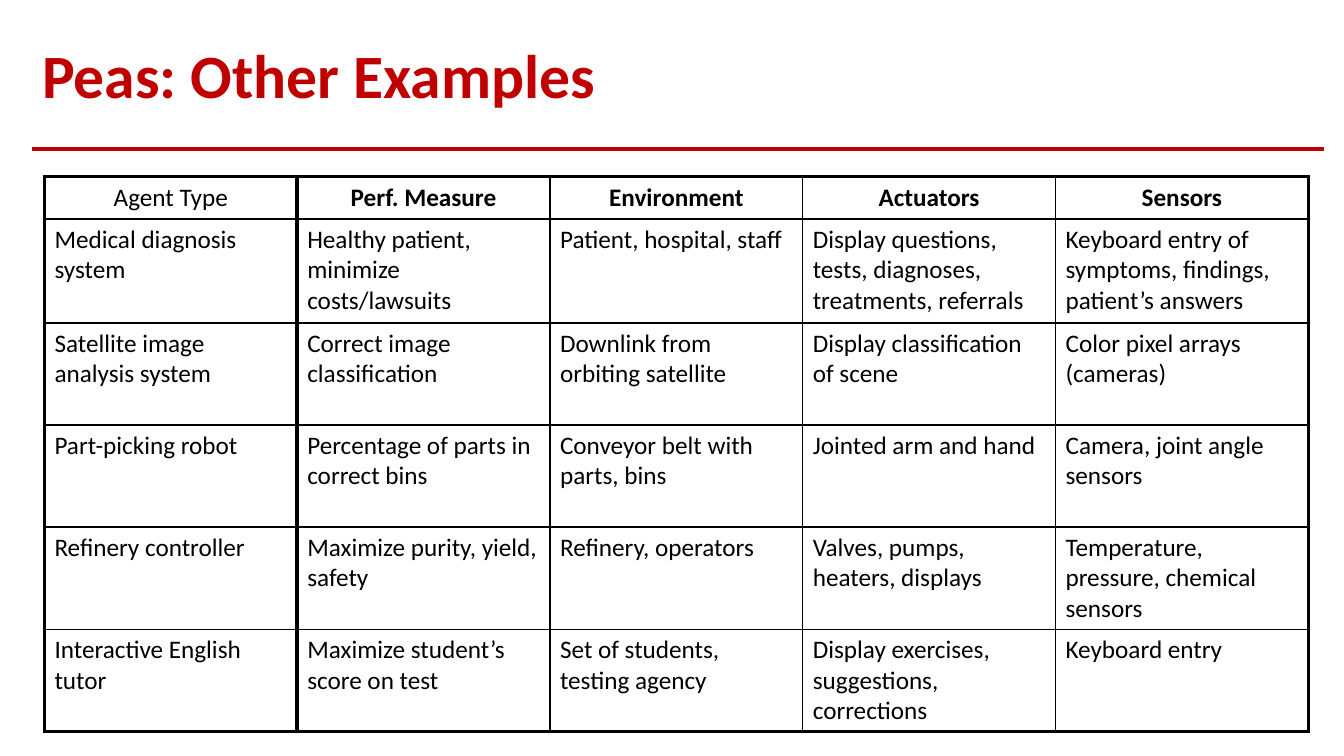
from lxml.etree import SubElement
from pptx import Presentation
from pptx.dml.color import RGBColor
from pptx.enum.shapes import MSO_CONNECTOR
from pptx.enum.text import MSO_ANCHOR, MSO_AUTO_SIZE, PP_ALIGN
from pptx.oxml import parse_xml
from pptx.oxml.ns import nsdecls, qn
from pptx.util import Cm, Pt

HEADING = "Peas: Other Examples"
AGENTS = [
    ("Agent Type", "Perf. Measure", "Environment", "Actuators", "Sensors"),
    ("Medical diagnosis system", "Healthy patient, minimize costs/lawsuits",
     "Patient, hospital, staff",
     "Display questions, tests, diagnoses, treatments, referrals",
     "Keyboard entry of symptoms, findings, patient’s answers"),
    ("Satellite image analysis system", "Correct image classification",
     "Downlink from orbiting satellite", "Display classification of scene",
     "Color pixel arrays (cameras)"),
    ("Part-picking robot", "Percentage of parts in correct bins",
     "Conveyor belt with parts, bins", "Jointed arm and hand",
     "Camera, joint angle sensors"),
    ("Refinery controller", "Maximize purity, yield, safety",
     "Refinery, operators", "Valves, pumps, heaters, displays",
     "Temperature, pressure, chemical sensors"),
    ("Interactive English tutor", "Maximize student’s score on test",
     "Set of students, testing agency",
     "Display exercises, suggestions, corrections", "Keyboard entry"),
]
ROW_HEIGHTS = [1.07, 2.62, 2.57, 2.57, 2.57, 2.57]
COLUMN_WIDTH = 6.37
RED, BLACK = "C00000", "000000"
FONT = "Calibri"
INNER, OUTER, DIVIDER = 1, 2.25, 3  # border widths in points


def color(hex_value):
    return RGBColor.from_string(hex_value)


def style(paragraph, size, hex_value, bold):
    for run in paragraph.runs:
        run.font.name = FONT
        run.font.size = Pt(size)
        run.font.bold = bold
        run.font.color.rgb = color(hex_value)


def set_borders(cell, widths):
    """Draw the left, right, top and bottom borders, widths in points."""
    properties = cell._tc.get_or_add_tcPr()
    for position, (side, width) in enumerate(zip("LRTB", widths)):
        border = parse_xml(
            f'<a:ln{side} {nsdecls("a")} w="{Pt(width)}"><a:solidFill>'
            f'<a:srgbClr val="{BLACK}"/></a:solidFill></a:ln{side}>')
        properties.insert(position, border)


def border_widths(row, column):
    """Outer frame, thick divider after the first column, thin lines inside."""
    last_row, last_column = len(AGENTS) - 1, len(AGENTS[0]) - 1
    verticals = {0: OUTER, 1: DIVIDER, last_column + 1: OUTER}
    return (verticals.get(column, INNER), verticals.get(column + 1, INNER),
            OUTER if row == 0 else INNER,
            OUTER if row == last_row else INNER)


def add_heading(slide):
    heading = slide.shapes.title
    heading.left, heading.top = Cm(0.81), Cm(0.71)
    heading.width, heading.height = Cm(32.56), Cm(2.54)
    frame = heading.text_frame
    frame.text = HEADING
    frame.auto_size = MSO_AUTO_SIZE.NONE
    frame.vertical_anchor = MSO_ANCHOR.MIDDLE
    paragraph = frame.paragraphs[0]
    paragraph.alignment = PP_ALIGN.LEFT
    paragraph.line_spacing = 0.9
    style(paragraph, 44, RED, True)


def add_rule(slide):
    rule = slide.shapes.add_connector(
        MSO_CONNECTOR.STRAIGHT, Cm(0.81), Cm(3.76), Cm(33.37), Cm(3.76))
    rule.line.color.rgb = color(RED)
    rule.line.width = Pt(2.5)
    SubElement(rule._element.spPr, qn("a:effectLst"))


def add_agents(slide):
    columns = len(AGENTS[0])
    table = slide.shapes.add_table(
        len(AGENTS), columns, Cm(1.12), Cm(4.45),
        Cm(COLUMN_WIDTH * columns), Cm(sum(ROW_HEIGHTS))).table
    table.horz_banding = False
    table.first_row = False
    for column in table.columns:
        column.width = Cm(COLUMN_WIDTH)
    for r, (height, texts) in enumerate(zip(ROW_HEIGHTS, AGENTS)):
        table.rows[r].height = Cm(height)
        is_header = r == 0
        for c, text in enumerate(texts):
            cell = table.cell(r, c)
            cell.text_frame.text = text
            cell.fill.background()
            cell.vertical_anchor = MSO_ANCHOR.MIDDLE if is_header else MSO_ANCHOR.TOP
            paragraph = cell.text_frame.paragraphs[0]
            paragraph.alignment = PP_ALIGN.CENTER if is_header else PP_ALIGN.LEFT
            style(paragraph, 18, BLACK, is_header and c > 0)
            set_borders(cell, border_widths(r, c))


def main():
    deck = Presentation()
    deck.slide_width, deck.slide_height = Cm(33.87), Cm(19.05)
    slide = deck.slides.add_slide(deck.slide_layouts.get_by_name("Title Only"))
    add_rule(slide)
    add_heading(slide)
    add_agents(slide)
    deck.save("out.pptx")


if __name__ == "__main__":
    main()
